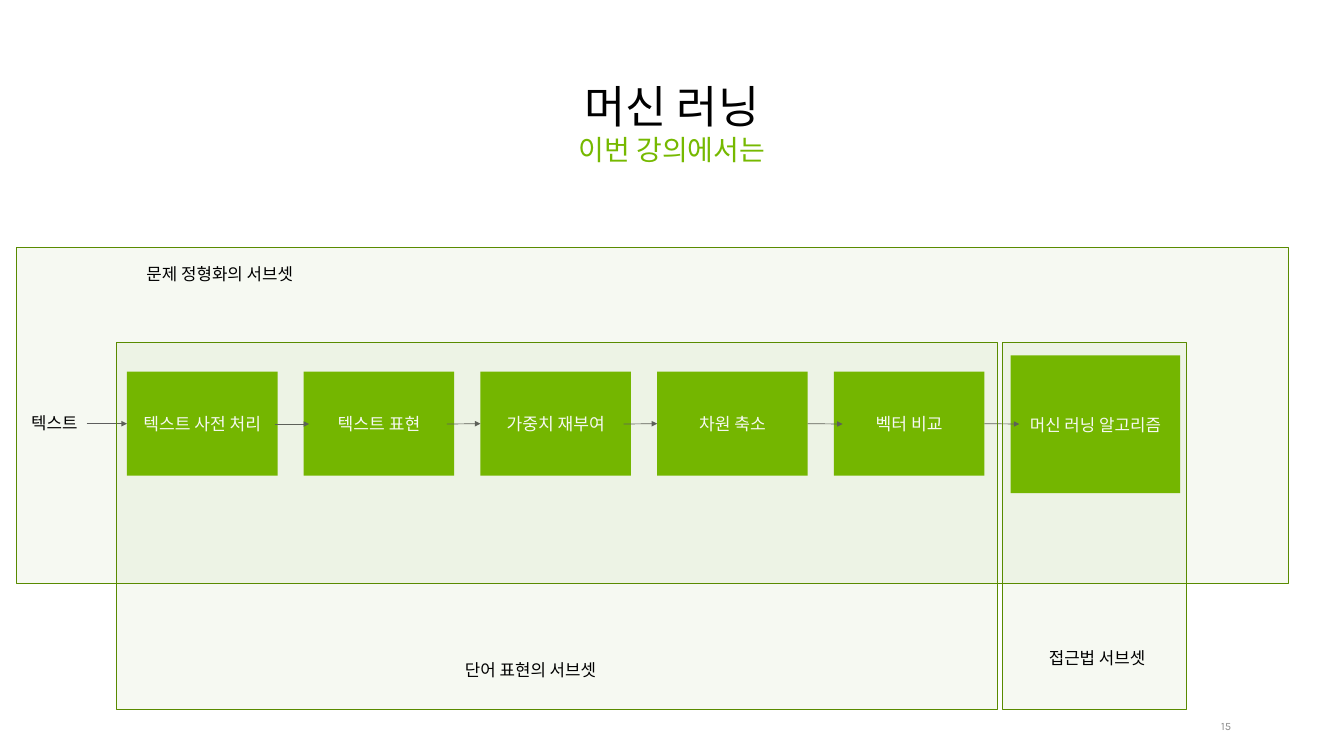
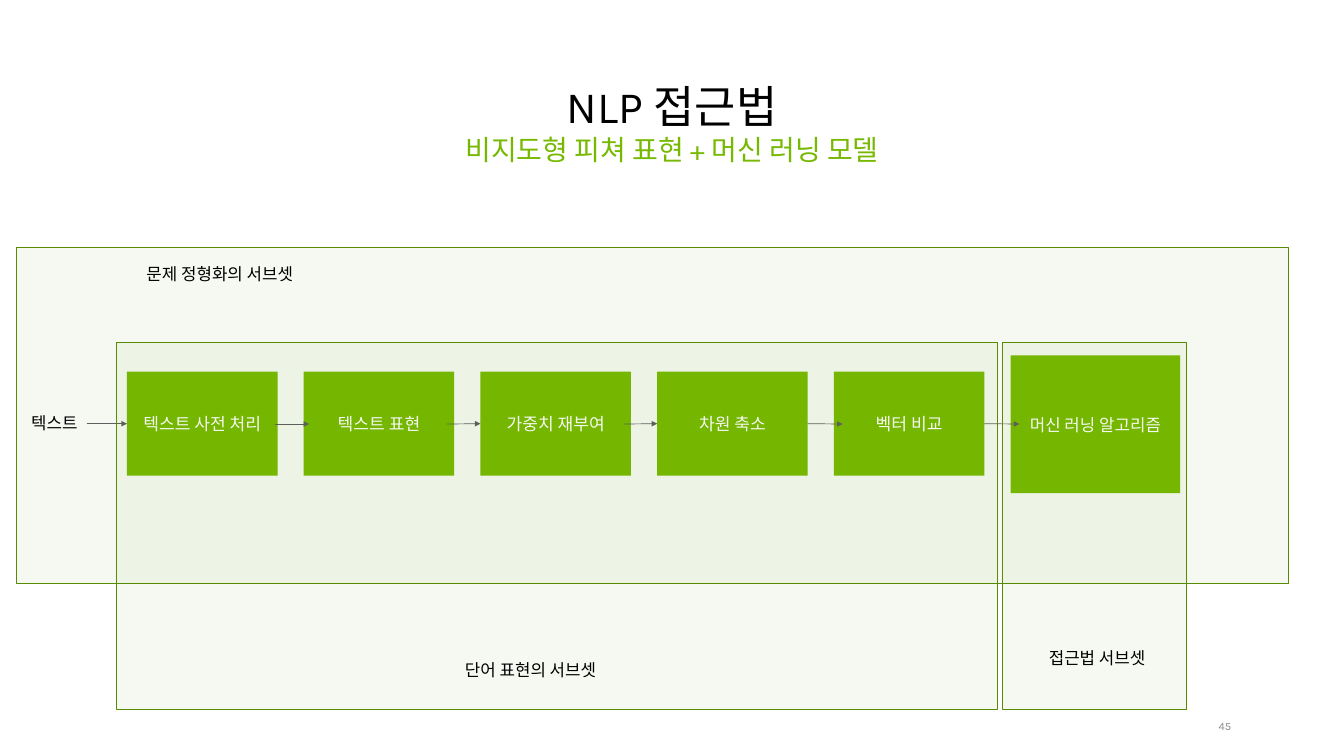
from lxml import etree
from pptx import Presentation
from pptx import util as u
from pptx.dml import color
from pptx.enum import shapes, text
from pptx.oxml import ns

COLUMNS, ROWS = 20, 11.25
BLACK, WHITE, GREEN, DARK_GREEN = "000000", "FFFFFF", "76B900", "598B00"
ARROW_GREY, NUMBER_GREY = "5E5E5E", "8C8C8C"
HEADING_FONT, BOX_FONT = "Karla", "Arial"
RIGHT_SIDE, LEFT_SIDE = 3, 1

STEPS = ["텍스트 사전 처리", "텍스트 표현", "가중치 재부여", "차원 축소", "벡터 비교"]
STEP_LEFT, STEP_PITCH, STEP_WIDTH = 1.89, 2.63, 2.24
FLOW_ROW, ARROW_LENGTH = 6.31, 0.51
SLIDES = [
    ("머신 러닝", "이번 강의에서는", "15 "),
    ("NLP 접근법", "비지도형 피쳐 표현 + 머신 러닝 모델", "45 "),
]


def rgb(value):
    return color.RGBColor.from_string(value)


class Sketch:
    def __init__(self):
        self.deck = Presentation()
        self.deck.slide_width = u.Inches(20)
        self.deck.slide_height = u.Inches(11.25)
        self.page = None

    def x(self, columns):
        return round(self.deck.slide_width * columns / COLUMNS)

    def y(self, rows):
        return round(self.deck.slide_height * rows / ROWS)

    def area(self, left, top, width, height):
        return self.x(left), self.y(top), self.x(width), self.y(height)

    def new_page(self):
        self.page = self.deck.slides.add_slide(self.deck.slide_layouts[2])

    def put_text(self, box, words, size, ink, font=HEADING_FONT, spacing=0.9,
                 align=text.PP_ALIGN.CENTER, anchor=text.MSO_ANCHOR.MIDDLE):
        frame = box.text_frame
        frame.vertical_anchor = anchor
        para = frame.paragraphs[0]
        para.alignment = align
        para.line_spacing = spacing
        para.space_before = u.Pt(0)
        span = para.add_run()
        span.text = words
        span.font.name = font
        span.font.size = u.Pt(size)
        span.font.bold = False
        span.font.color.rgb = rgb(ink)

    def heading(self, index, words, area, size, ink, anchor):
        box = self.page.placeholders[index]
        box.left, box.top, box.width, box.height = self.area(*area)
        box.text_frame.auto_size = text.MSO_AUTO_SIZE.NONE
        self.put_text(box, words, size, ink, anchor=anchor)

    def label(self, words, *area):
        box = self.page.shapes.add_textbox(*self.area(*area))
        box.text_frame.word_wrap = False
        box.text_frame.auto_size = text.MSO_AUTO_SIZE.SHAPE_TO_FIT_TEXT
        self.put_text(box, words, 18, BLACK)
        return box

    def page_number(self, words):
        box = self.page.shapes.add_textbox(*self.area(17.77, 10.71, 0.59, 0.2))
        frame = box.text_frame
        frame.word_wrap = True
        frame.margin_left = frame.margin_right = 0
        frame.margin_top = frame.margin_bottom = 0
        self.put_text(box, words, 12, NUMBER_GREY, spacing=1.0,
                      align=text.PP_ALIGN.RIGHT)

    def rectangle(self, area, fill):
        box = self.page.shapes.add_shape(
            shapes.MSO_SHAPE.RECTANGLE, *self.area(*area))
        box.shadow.inherit = False
        box.fill.solid()
        box.fill.fore_color.rgb = rgb(fill)
        return box

    def panel(self, *area):
        box = self.rectangle(area, DARK_GREEN)
        box.line.color.rgb = rgb(DARK_GREEN)
        box.line.width = u.Pt(1)
        shade = box.element.spPr.find(ns.qn("a:solidFill")).find(ns.qn("a:srgbClr"))
        etree.SubElement(shade, ns.qn("a:alpha"), val="5000")

    def block(self, words, size, *area):
        box = self.rectangle(area, GREEN)
        box.line.fill.background()
        box.text_frame.word_wrap = True
        self.put_text(box, words, size, WHITE, font=BOX_FONT, spacing=1.0)
        return box

    def arrow(self, left, length=ARROW_LENGTH, source=None, target=None):
        row = self.y(FLOW_ROW)
        link = self.page.shapes.add_connector(
            shapes.MSO_CONNECTOR.STRAIGHT,
            self.x(left), row, self.x(left + length), row)
        if source is not None:
            link.begin_connect(source, RIGHT_SIDE)
        if target is not None:
            link.end_connect(target, LEFT_SIDE)
        link.line.color.rgb = rgb(ARROW_GREY)
        link.line.width = u.Pt(0.75)
        properties = link.element.spPr
        etree.SubElement(properties.find(ns.qn("a:ln")), ns.qn("a:tailEnd"),
                         type="triangle")
        etree.SubElement(properties, ns.qn("a:effectLst"))


def draw_pipeline(sketch):
    sketch.panel(0.24, 3.68, 18.94, 5)
    sketch.block("머신 러닝 알고리즘", 18, 15.04, 5.29, 2.52, 2.05)
    source_text = sketch.label("텍스트", 0.33, 6.12, 0.96, 0.37)
    steps = [
        sketch.block(words, 18.3, STEP_LEFT + STEP_PITCH * i, 5.53, STEP_WIDTH, 1.55)
        for i, words in enumerate(STEPS)
    ]
    sketch.label("문제 정형화의 서브셋", 1.96, 3.91, 2.62, 0.37)
    sketch.arrow(1.29, 0.6, source_text, steps[0])
    sketch.arrow(4.09)
    sketch.arrow(6.65, target=steps[2])
    sketch.arrow(9.28, target=steps[3])
    sketch.arrow(12.03, source=steps[3])
    sketch.arrow(14.66, source=steps[4])
    sketch.panel(1.73, 5.09, 13.12, 5.47)
    sketch.label("단어 표현의 서브셋", 6.71, 9.8, 2.37, 0.37)
    sketch.panel(14.92, 5.09, 2.74, 5.47)
    sketch.label("접근법 서브셋", 15.43, 9.62, 1.79, 0.37)


def main():
    sketch = Sketch()
    for title, subtitle, number in SLIDES:
        sketch.new_page()
        sketch.page_number(number)
        sketch.heading(0, title, (0.91, 0.95, 18.18, 1.08), 48, BLACK,
                       text.MSO_ANCHOR.BOTTOM)
        sketch.heading(1, subtitle, (0.91, 1.98, 18.18, 0.96), 30, GREEN,
                       text.MSO_ANCHOR.TOP)
        draw_pipeline(sketch)
    sketch.deck.save("out.pptx")


if __name__ == "__main__":
    main()
